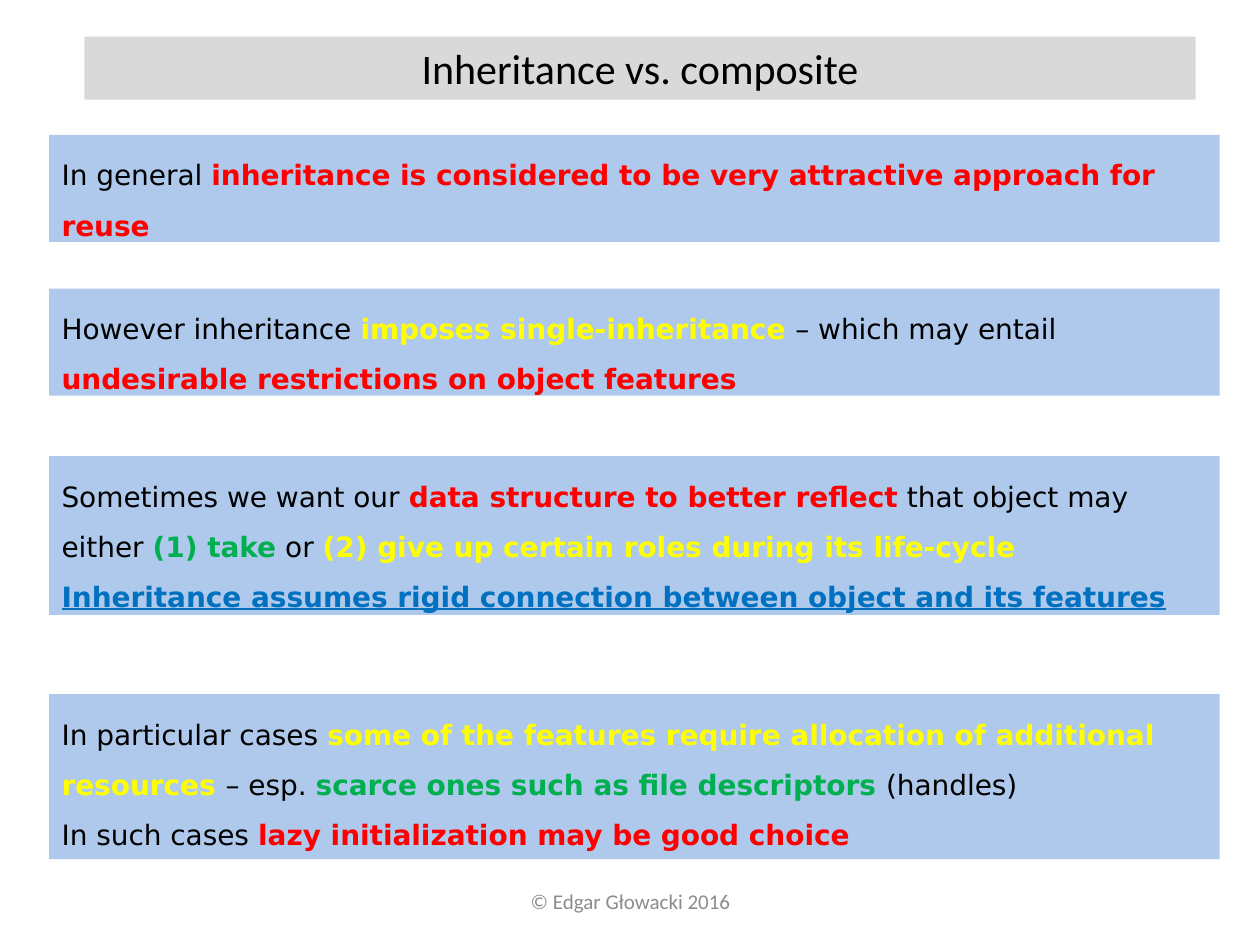
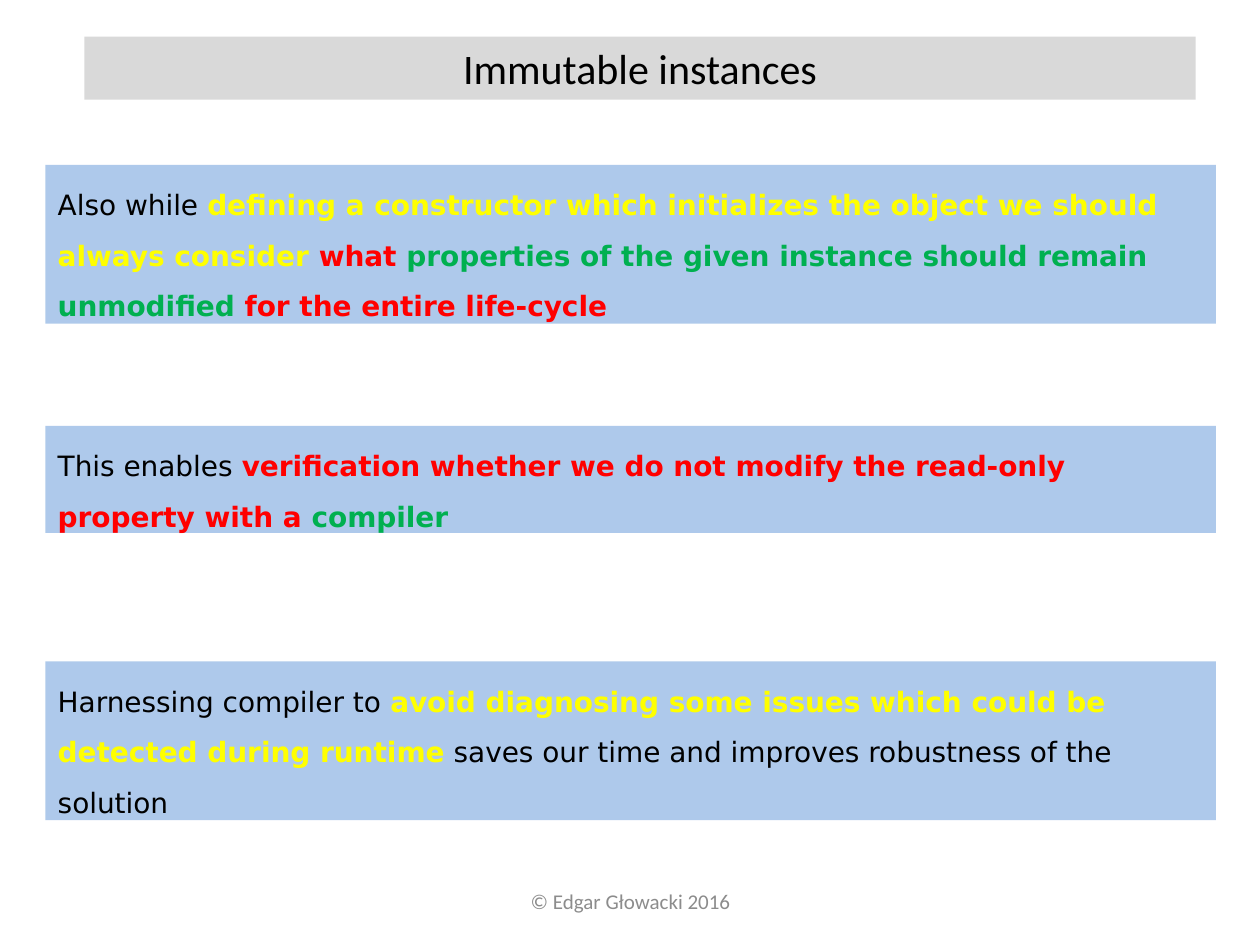
from pptx import Presentation
from pptx.dml.color import RGBColor
from pptx.enum.shapes import MSO_SHAPE
from pptx.enum.text import MSO_ANCHOR, MSO_AUTO_SIZE, PP_ALIGN
from pptx.oxml.ns import qn
from pptx.util import Inches, Pt
from lxml import etree

RECT = MSO_SHAPE.RECTANGLE
TOP, MIDDLE = MSO_ANCHOR.TOP, MSO_ANCHOR.MIDDLE
LEFT, CENTER = PP_ALIGN.LEFT, PP_ALIGN.CENTER
FIXED = MSO_AUTO_SIZE.NONE

COLS, ROWS = 100, 75
TITLE_ONLY = 5
COLORS = {
    "black": "000000", "red": "FF0000", "yellow": "FFFF00",
    "green": "00B050", "blue": "0070C0", "gray": "8C8C8C",
    "band": "D9D9D9", "panel": "8EB4E3",
}
HEAD, BODY = "Calibri", "DejaVu Sans"
CREDIT = "© Edgar Głowacki 2016"


class Deck:
    def __init__(self):
        self.prs = Presentation()
        self.prs.slide_width = Inches(10)
        self.prs.slide_height = Inches(7.5)
        self.slide = None

    def area(self, left, top, width, height):
        """Turn grid columns and rows into slide lengths."""
        col = self.prs.slide_width / COLS
        row = self.prs.slide_height / ROWS
        return [round(n * unit) for n, unit in
                zip((left, top, width, height), (col, row, col, row))]

    def paint(self, shape, color, alpha=None):
        shape.fill.solid()
        shape.fill.fore_color.rgb = RGBColor.from_string(COLORS[color])
        if alpha:
            fill = shape.element.spPr.find(qn("a:solidFill"))
            etree.SubElement(fill[0], qn("a:alpha"), val=str(alpha * 1000))

    def label(self, shape, paras, font, size, align, anchor=TOP, space=1.0):
        """Fill a shape with paragraphs of (text, color) runs; colored body text is bold."""
        frame = shape.text_frame
        frame.word_wrap = True
        frame.auto_size = FIXED
        frame.vertical_anchor = anchor
        for i, runs in enumerate(paras):
            para = frame.add_paragraph() if i else frame.paragraphs[0]
            para.alignment = align
            para.line_spacing = space
            for text, color in runs:
                run = para.add_run()
                run.text = text
                run.font.name = font
                run.font.size = Pt(size)
                run.font.color.rgb = RGBColor.from_string(COLORS[color])
                run.font.bold = color not in ("black", "gray")
                run.font.underline = color == "blue"

    def start(self, title):
        """Add a slide with its title band and credit line."""
        layout = self.prs.slide_layouts[TITLE_ONLY]
        self.slide = self.prs.slides.add_slide(layout)
        band = self.slide.shapes.title
        band.left, band.top, band.width, band.height = self.area(6.7, 2.9, 88.2, 5)
        self.paint(band, "band")
        self.label(band, [[(title, "black")]], HEAD, 24, CENTER)
        foot = self.slide.shapes.add_textbox(*self.area(34.2, 69.5, 31.7, 4))
        self.label(foot, [[(CREDIT, "gray")]], HEAD, 12, CENTER, MIDDLE)

    def panel(self, left, top, height, paras):
        box = self.slide.shapes.add_shape(RECT, *self.area(left, top, 92.9, height))
        box.shadow.inherit = False
        box.line.fill.background()
        self.paint(box, "panel", 71)
        self.label(box, paras, BODY, 16, LEFT, space=1.5)


# Each slide: title, left edge, then panels as (top, height, paragraphs).
SLIDES = [
    ("Inheritance vs. composite", 3.9, [
        (10.7, 8.5, [[
            ("In general ", "black"),
            ("inheritance is considered to be very attractive approach for reuse", "red"),
        ]]),
        (22.9, 8.5, [[
            ("However inheritance ", "black"),
            ("imposes single-inheritance ", "yellow"),
            ("– which may entail ", "black"),
            ("undesirable restrictions on object features", "red"),
        ]]),
        (36.2, 12.6, [[
            ("Sometimes we want our ", "black"),
            ("data structure to better reflect", "red"),
            (" that object may either ", "black"),
            ("(1) take", "green"),
            (" or ", "black"),
            ("(2) give up certain roles during its life-cycle", "yellow"),
        ], [
            ("Inheritance assumes rigid connection between object and its features", "blue"),
        ]]),
        (55.1, 13.1, [[
            ("In particular cases ", "black"),
            ("some of the features require allocation of additional resources ", "yellow"),
            ("– esp. ", "black"),
            ("scarce ones such as file descriptors ", "green"),
            ("(handles)", "black"),
        ], [
            ("In such cases ", "black"),
            ("lazy initialization may be good choice", "red"),
        ]]),
    ]),
    ("Immutable instances", 3.6, [
        (13.1, 12.6, [[
            ("Also while ", "black"),
            ("defining a constructor which initializes the object "
             "we should always consider ", "yellow"),
            ("what ", "red"),
            ("properties of the given instance should remain unmodified", "green"),
            (" for the entire life-cycle", "red"),
        ]]),
        (33.8, 8.5, [[
            ("This enables ", "black"),
            ("verification whether we do not modify the read-only property with a ", "red"),
            ("compiler", "green"),
        ]]),
        (52.5, 12.6, [[
            ("Harnessing compiler to ", "black"),
            ("avoid diagnosing some issues which could be detected during runtime", "yellow"),
            (" saves our time and improves robustness of the solution", "black"),
        ]]),
    ]),
]


def main():
    deck = Deck()
    for title, left, panels in SLIDES:
        deck.start(title)
        for top, height, paras in panels:
            deck.panel(left, top, height, paras)
    deck.prs.save("out.pptx")


if __name__ == "__main__":
    main()
